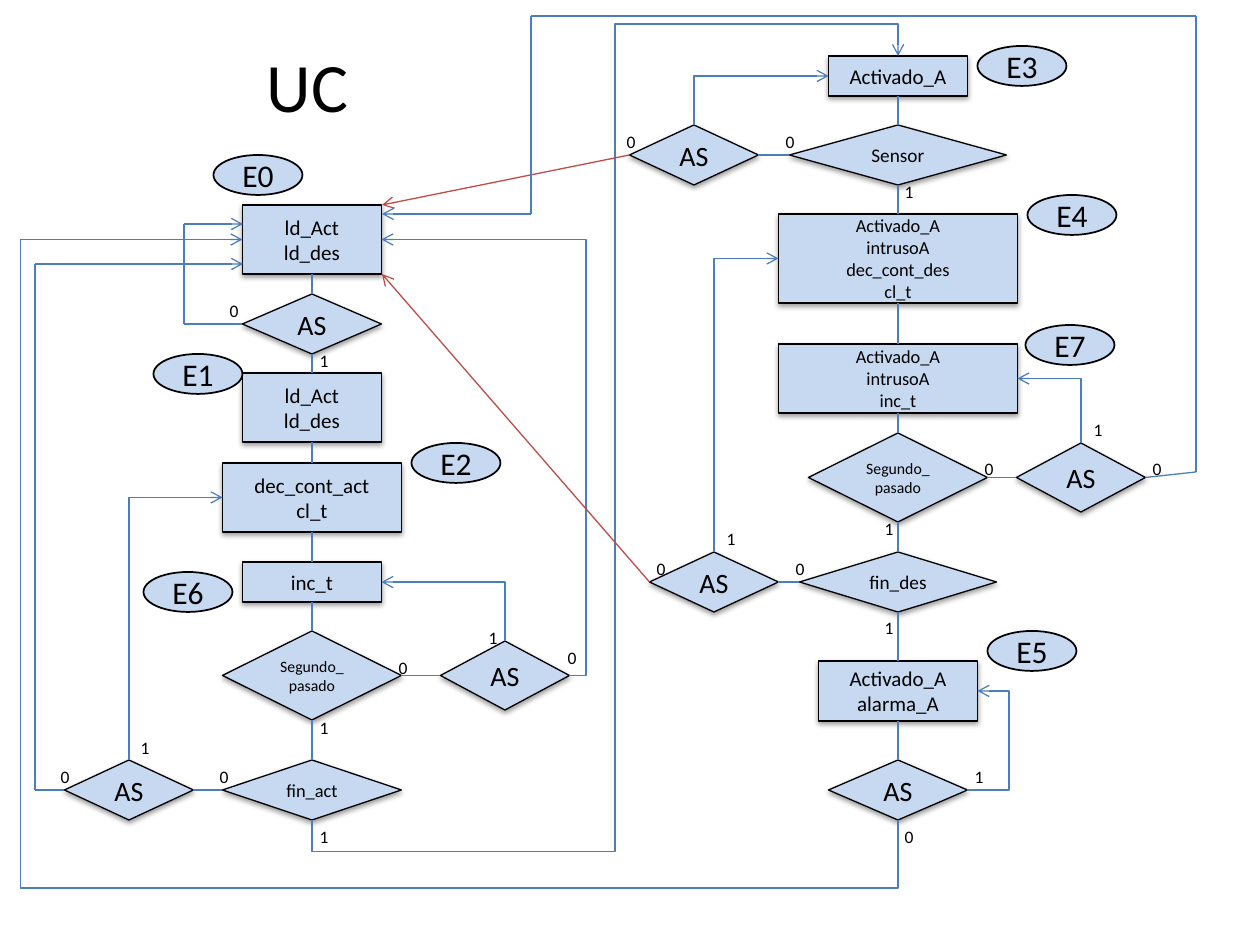
from dataclasses import dataclass

from lxml.etree import SubElement
from pptx import Presentation
from pptx.dml.color import RGBColor
from pptx.enum.shapes import MSO_CONNECTOR, MSO_SHAPE
from pptx.enum.text import MSO_ANCHOR, PP_ALIGN
from pptx.oxml.ns import qn
from pptx.util import Pt

SCALE = 914400 / 126  # EMU in one px
TOP, LEFT, BOTTOM, RIGHT = range(4)
BOX, TEST, OVAL = MSO_SHAPE.RECTANGLE, MSO_SHAPE.FLOWCHART_DECISION, MSO_SHAPE.OVAL


@dataclass(frozen=True)
class Theme:
    font: str = "Calibri"
    ink: str = "000000"
    fill: str = "C6D9F1"
    blue: str = "4B7EBC"
    red: str = "BF4C48"
    title: float = 39.6
    state: float = 18
    ask: float = 16
    body: float = 12
    mid: float = 11
    small: float = 10.5
    label: float = 10
    tiny: float = 9
    thin: float = 0.75


THEME = Theme()


@dataclass(frozen=True)
class Node:
    name: str
    kind: int
    mid: int  # centre x
    top: int
    wide: int
    high: int
    text: str
    size: float


@dataclass(frozen=True)
class Link:
    start: str
    out: int
    end: str
    into: int
    via: tuple = ()  # corners of an elbow


@dataclass(frozen=True)
class Trail:
    start: str
    out: int
    points: tuple
    color: str = THEME.blue


COL_A, COL_B = 312, 898  # centres of the two columns

NODES = [
    # Left column: switching on
    Node("idle", BOX, COL_A, 205, 139, 69, "ld_Act\nld_des", THEME.body),
    Node("idle_as", TEST, COL_A, 294, 139, 60, "AS", THEME.ask),
    Node("load", BOX, COL_A, 373, 139, 69, "ld_Act\nld_des", THEME.body),
    Node("dec", BOX, COL_A, 463, 179, 69, "dec_cont_act\ncl_t", THEME.body),
    Node("inc", BOX, COL_A, 562, 139, 40, "inc_t", THEME.body),
    Node("sec_a", TEST, COL_A, 631, 179, 89, "Segundo_pasado", THEME.tiny),
    Node("sec_a_as", TEST, 505, 641, 129, 69, "AS", THEME.ask),
    Node("fin_a", TEST, COL_A, 760, 179, 60, "fin_act", THEME.small),
    Node("fin_a_as", TEST, 129, 760, 129, 60, "AS", THEME.ask),
    # Right column: alarm set
    Node("armed", BOX, COL_B, 56, 139, 40, "Activado_A", THEME.body),
    Node("sensor", TEST, COL_B, 125, 217, 60, "Sensor", THEME.mid),
    Node("armed_as", TEST, 694, 125, 129, 60, "AS", THEME.ask),
    Node("alert", BOX, COL_B, 214, 239, 89,
         "Activado_A\nintrusoA\ndec_cont_des\ncl_t", THEME.small),
    Node("count", BOX, COL_B, 344, 239, 69, "Activado_A\nintrusoA\ninc_t", THEME.small),
    Node("fin_b", TEST, COL_B, 552, 197, 60, "fin_des", THEME.mid),
    Node("sec_b_as", TEST, 1081, 443, 129, 69, "AS", THEME.ask),
    Node("fin_b_as", TEST, 714, 552, 129, 60, "AS", THEME.ask),
    Node("sec_b", TEST, COL_B, 433, 179, 89, "Segundo_pasado", THEME.tiny),
    Node("alarm", BOX, COL_B, 661, 159, 60, "Activado_A\nalarma_A", THEME.body),
    Node("alarm_as", TEST, COL_B, 760, 139, 60, "AS", THEME.ask),
]

# Runs of nodes joined bottom to top
CHAINS = [
    ("idle", "idle_as", "load", "dec", "inc", "sec_a", "fin_a"),
    ("armed", "sensor", "alert", "count", "sec_b", "fin_b", "alarm", "alarm_as"),
]

SIDES = [
    Link("sec_a", RIGHT, "sec_a_as", LEFT),
    Link("fin_a_as", RIGHT, "fin_a", LEFT),
    Link("sensor", LEFT, "armed_as", RIGHT),
    Link("sec_b", RIGHT, "sec_b_as", LEFT),
    Link("fin_b_as", RIGHT, "fin_b", LEFT),
]

ELBOWS = [
    Link("sec_a_as", RIGHT, "idle", RIGHT, ((586, 676), (586, 239))),
    Link("fin_a_as", TOP, "dec", LEFT, ((129, 497),)),
    Link("fin_a", BOTTOM, "armed", TOP, ((312, 851), (615, 851), (615, 24), (898, 24))),
    Link("alarm_as", RIGHT, "alarm", RIGHT, ((1009, 790), (1009, 691))),
    Link("sec_b_as", TOP, "count", RIGHT, ((1081, 378),)),
    Link("fin_b_as", TOP, "alert", LEFT, ((714, 259),)),
    Link("sec_a_as", TOP, "inc", RIGHT, ((505, 582),)),
    Link("armed_as", TOP, "armed", LEFT, ((694, 76),)),
    Link("alarm_as", BOTTOM, "idle", LEFT, ((898, 888), (21, 888), (21, 239))),
]

TRAILS = [
    Trail("fin_b_as", LEFT, ((382, 274),), THEME.red),
    Trail("armed_as", LEFT, ((382, 205),), THEME.red),
    Trail("fin_a_as", LEFT, ((35, 790), (35, 264), (243, 264))),
    Trail("sec_b_as", RIGHT, ((1196, 472), (1196, 16), (531, 16), (531, 214), (382, 214))),
    Trail("idle_as", LEFT, ((184, 324), (184, 224), (243, 224))),
]

# Left and top of each branch label
LABELS = {
    "0": [(393, 651), (224, 294), (562, 641), (214, 760), (55, 760), (621, 125),
          (651, 552), (780, 125), (979, 452), (1147, 452), (790, 552), (899, 820)],
    "1": [(314, 344), (314, 711), (314, 820), (135, 731), (483, 621), (899, 175),
          (879, 512), (721, 522), (879, 611), (1088, 413), (969, 760)],
}

# Centre and top of each state name
STATES = {"E0": (258, 155), "E1": (198, 354), "E2": (456, 443), "E6": (188, 572),
          "E3": (1022, 46), "E4": (1072, 195), "E7": (1070, 325), "E5": (1032, 631)}


def px(n: float) -> int:
    return round(n * SCALE)


def write(shape, text: str, *, size: float, anchor=MSO_ANCHOR.MIDDLE,
          wrap: bool = True, side: int = 13) -> None:
    frame = shape.text_frame
    frame.word_wrap, frame.vertical_anchor = wrap, anchor
    frame.margin_left = frame.margin_right = px(side)
    para = frame.paragraphs[0]
    para.text, para.alignment = text, PP_ALIGN.CENTER
    for run in para.runs:
        run.font.name, run.font.size = THEME.font, Pt(size)
        run.font.color.rgb = RGBColor.from_string(THEME.ink)


def draw(slide, node: Node, width: float = THEME.thin, shade: bool = True):
    shape = slide.shapes.add_shape(node.kind, px(node.mid - node.wide / 2), px(node.top),
                                   px(node.wide), px(node.high))
    shape.fill.solid()
    shape.fill.fore_color.rgb = RGBColor.from_string(THEME.fill)
    shape.line.color.rgb = RGBColor.from_string(THEME.ink)
    shape.line.width = Pt(width)
    shape.shadow.inherit = False
    if shade:
        glow = SubElement(shape._element.spPr.find(qn("a:effectLst")), qn("a:outerShdw"),
                          blurRad=str(Pt(3.1)), dist=str(Pt(1.6)), dir="5400000", rotWithShape="0")
        tint = SubElement(glow, qn("a:srgbClr"), val=THEME.ink)
        SubElement(tint, qn("a:alpha"), val="38000")
    write(shape, node.text, size=node.size)
    return shape


def port(shape, side: int) -> tuple[int, int]:
    x = {LEFT: 0, RIGHT: shape.width}.get(side, shape.width // 2)
    y = {TOP: 0, BOTTOM: shape.height}.get(side, shape.height // 2)
    return shape.left + x, shape.top + y


def wire(slide, start, end, *, kind=MSO_CONNECTOR.STRAIGHT, color: str = THEME.blue,
         arrow: bool = False):
    line = slide.shapes.add_connector(kind, *start, *end)
    line.line.color.rgb = RGBColor.from_string(color)
    line.line.width = Pt(THEME.thin)
    props = line._element.spPr
    if arrow:
        SubElement(props.find(qn("a:ln")), qn("a:tailEnd"), type="arrow")
    SubElement(props, qn("a:effectLst"))
    return line


def bend(line, start, end, link: Link) -> None:
    """Shape an elbow so that it turns at the corners of the link."""
    first = 1 if link.out in (TOP, BOTTOM) else 0  # axis of the first leg
    dx, dy = end[0] - start[0], end[1] - start[1]
    wide, high = (abs(dy), abs(dx)) if first else (abs(dx), abs(dy))
    line.left = (start[0] + end[0] - wide) // 2
    line.top = (start[1] + end[1] - high) // 2
    line.width, line.height = wide, high
    flip_h, flip_v = (dy < 0, dx > 0) if first else (dx < 0, dy < 0)
    form = line._element.spPr.find(qn("a:xfrm"))
    for key, val in (("rot", 5400000 * first), ("flipH", int(flip_h)), ("flipV", int(flip_v))):
        form.set(key, str(val))
    geom = line._element.spPr.find(qn("a:prstGeom"))
    geom.set("prst", f"bentConnector{len(link.via) + 1}")
    for i, spot in enumerate(link.via[:-1]):
        axis = (first + i) % 2
        part = (px(spot[axis]) - start[axis]) / (end[axis] - start[axis])
        SubElement(geom.find(qn("a:avLst")), qn("a:gd"), name=f"adj{i + 1}",
                   fmla=f"val {round(part * 100000)}")


def join(slide, shapes: dict, link: Link) -> None:
    a, b = shapes[link.start], shapes[link.end]
    start, end = port(a, link.out), port(b, link.into)
    kind = MSO_CONNECTOR.ELBOW if link.via else MSO_CONNECTOR.STRAIGHT
    line = wire(slide, start, end, kind=kind, arrow=bool(link.via))
    line.begin_connect(a, link.out)
    line.end_connect(b, link.into)
    if link.via:
        bend(line, start, end, link)


def trace(slide, shapes: dict, trail: Trail) -> None:
    root = shapes[trail.start]
    spots = [port(root, trail.out)] + [(px(x), px(y)) for x, y in trail.points]
    last = len(trail.points) - 1
    for i, (start, end) in enumerate(zip(spots, spots[1:])):
        line = wire(slide, start, end, color=trail.color, arrow=i == last)
        if i == 0:
            line.begin_connect(root, trail.out)


def main() -> None:
    deck = Presentation()
    deck.slide_width, deck.slide_height = px(1260), px(945)
    slide = deck.slides.add_slide(deck.slide_layouts[6])
    # Title
    write(slide.shapes.add_textbox(px(154), px(36), px(307), px(97)), "UC", size=THEME.title)
    # Flow
    shapes = {node.name: draw(slide, node) for node in NODES}
    steps = [Link(a, BOTTOM, b, TOP) for chain in CHAINS for a, b in zip(chain, chain[1:])]
    for link in steps + SIDES + ELBOWS:
        join(slide, shapes, link)
    for trail in TRAILS:
        trace(slide, shapes, trail)
    # Branch labels
    for text, spots in LABELS.items():
        for x, y in spots:
            box = slide.shapes.add_textbox(px(x), px(y), px(20), px(34))
            write(box, text, size=THEME.label, anchor=MSO_ANCHOR.TOP, wrap=False, side=0)
    # State names
    for text, (mid, top) in STATES.items():
        draw(slide, Node(text, OVAL, mid, top, 89, 40, text, THEME.state), width=1, shade=False)
    deck.save("out.pptx")


if __name__ == "__main__":
    main()
